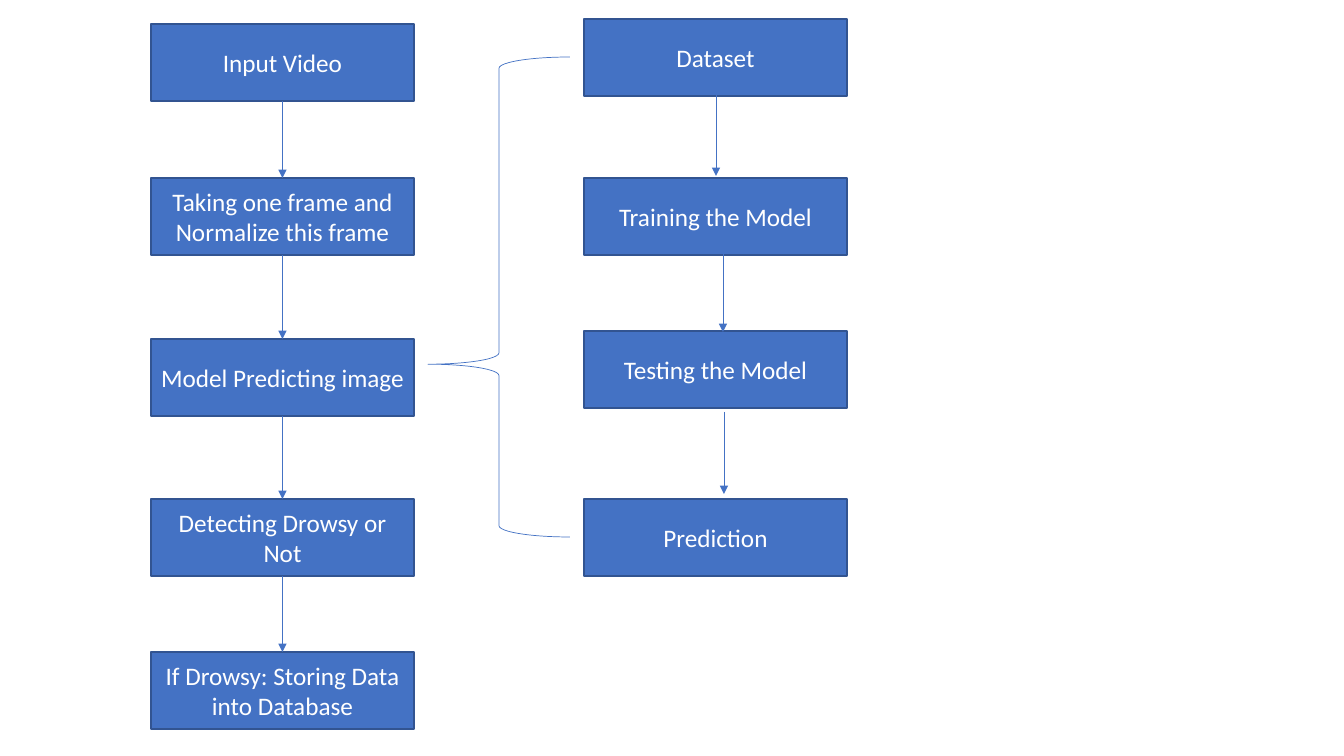
import pptx
import pptx.util
import pptx.dml.color
import pptx.enum.shapes
import pptx.enum.text
import pptx.oxml
import pptx.oxml.ns

# Content: (text, top) for each step, in pixels
PIPELINE = [
    ("Input Video", 24),
    ("Taking one frame and Normalize this frame", 178),
    ("Model Predicting image", 339),
    ("Detecting Drowsy or Not", 499),
    ("If Drowsy: Storing Data into Database", 652),
]
MODEL = [
    ("Dataset", 19),
    ("Training the Model", 178),
    ("Testing the Model", 331),
    ("Prediction", 499),
]
MODEL_ARROWS = [(716, 94), (723, 250), (724, 412)]  # x, top

THEME = {
    "font": "Calibri", "size": 18, "text": "FFFFFF",
    "fill": "4472C4", "border": "325491", "border_width": 1,
    "line": "4472C4", "line_width": 0.5,
}
PIPELINE_X, MODEL_X = 151, 584
BOX_W, BOX_H = 263, 77
ARROW_LENGTH = 82
BRACE = (428, 57, 142, 480)
BRACE_CURVE, BRACE_POINT = 0.08, 0.64

SCALE = 914400 / 100.8
SHAPE = pptx.enum.shapes.MSO_SHAPE


def px(n):
    return pptx.util.Emu(round(n * SCALE))


def rgb(key):
    return pptx.dml.color.RGBColor.from_string(THEME[key])


def set_line(sp, color, width):
    sp.line.color.rgb = rgb(color)
    sp.line.width = pptx.util.Pt(THEME[width])


def add_box(text, left, top):
    sp = slide.shapes.add_shape(SHAPE.RECTANGLE, px(left), px(top), px(BOX_W), px(BOX_H))
    sp.shadow.inherit = False
    sp.fill.solid()
    sp.fill.fore_color.rgb = rgb("fill")
    set_line(sp, "border", "border_width")
    tf = sp.text_frame
    tf.word_wrap = True
    tf.vertical_anchor = pptx.enum.text.MSO_ANCHOR.MIDDLE
    tf.text = text
    p = tf.paragraphs[0]
    p.alignment = pptx.enum.text.PP_ALIGN.CENTER
    font = p.runs[0].font
    font.name, font.size = THEME["font"], pptx.util.Pt(THEME["size"])
    font.color.rgb = rgb("text")
    return sp


def add_arrow(x=0, top=0, bottom=0):
    line = slide.shapes.add_connector(
        pptx.enum.shapes.MSO_CONNECTOR.STRAIGHT, px(x), px(top), px(x), px(bottom))
    set_line(line, "line", "line_width")
    ln = line.line._get_or_add_ln()
    pptx.oxml.ns.qn("a:tailEnd")
    ln.append(pptx.oxml.parse_xml(
        f'<a:tailEnd {pptx.oxml.ns.nsdecls("a")} type="triangle"/>'))
    line._element.spPr.append(pptx.oxml.parse_xml(
        f'<a:effectLst {pptx.oxml.ns.nsdecls("a")}/>'))
    return line


prs = pptx.Presentation()
prs.slide_width, prs.slide_height = px(1344), px(756)
slide = prs.slides.add_slide(prs.slide_layouts[6])

# Boxes of both columns
steps = [add_box(text, PIPELINE_X, top) for text, top in PIPELINE]
for text, top in MODEL:
    add_box(text, MODEL_X, top)

# Arrows glued from each pipeline step to the next
for upper, lower in zip(steps, steps[1:]):
    arrow = add_arrow()
    arrow.begin_connect(upper, 2)
    arrow.end_connect(lower, 0)

# Free arrows between the model steps
for x, top in MODEL_ARROWS:
    add_arrow(x, top, top + ARROW_LENGTH)

# Brace that opens the prediction step into the model column
brace = slide.shapes.add_shape(SHAPE.LEFT_BRACE, *map(px, BRACE))
brace.shadow.inherit = False
brace.fill.background()
set_line(brace, "line", "line_width")
brace.adjustments[0], brace.adjustments[1] = BRACE_CURVE, BRACE_POINT

prs.save("out.pptx")
